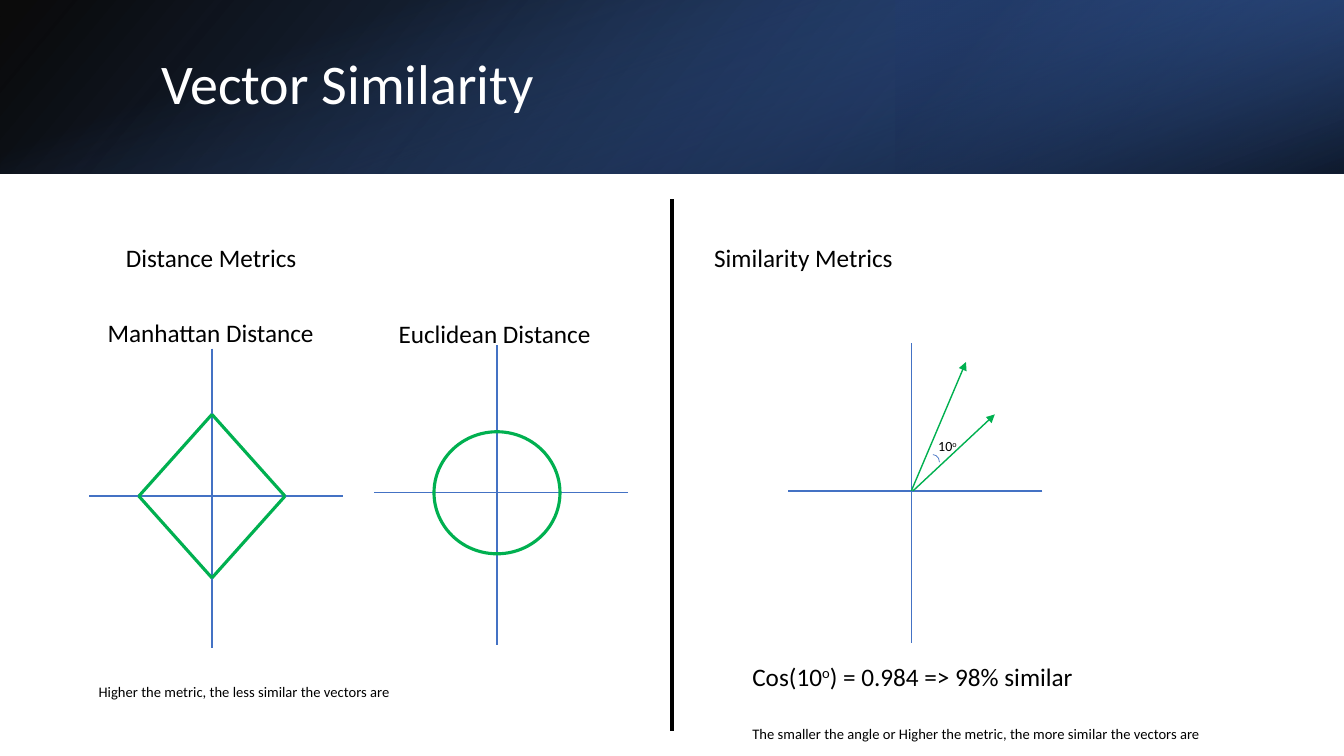
"""Build the Vector Similarity slide."""
from pptx import Presentation
from pptx.dml.color import RGBColor
from pptx.enum.shapes import MSO_CONNECTOR, MSO_SHAPE
from pptx.enum.text import MSO_ANCHOR, PP_ALIGN
from pptx.oxml import parse_xml
from pptx.oxml.ns import nsdecls, qn
from pptx.util import Pt

STRAIGHT = MSO_CONNECTOR.STRAIGHT
RECTANGLE, OVAL, ARC = MSO_SHAPE.RECTANGLE, MSO_SHAPE.OVAL, MSO_SHAPE.ARC
LEFT, MIDDLE = PP_ALIGN.LEFT, MSO_ANCHOR.MIDDLE
FONT = "Calibri"
BLUE, GREEN, BLACK, WHITE = "4472C4", "00B050", "000000", "FFFFFF"

TITLE = "Vector Similarity"
TITLE_BOX = (108, 27.4, 790.6, 69.1)
BANNER_WIDTH, BANNER_HEIGHT = 960, 124
# box, rotation, flipped, (stop %, colour, opacity %), angle
BANNER_PANELS = [
    ((0, 0, BANNER_WIDTH, BANNER_HEIGHT), 0, True,
     [(0, BLACK, 96), (100, "2F5597", 100)], 140),
    ((640, 0, 320, BANNER_HEIGHT), 180, True,
     [(19, "203864", 68), (100, BLUE, 79)], 320),
    (((BANNER_WIDTH - BANNER_HEIGHT) / 2, (BANNER_HEIGHT - BANNER_WIDTH) / 2,
      BANNER_HEIGHT, BANNER_WIDTH), 90, False,
     [(23, BLUE, 0), (99, BLACK, 74)], 340),
]
# box, size, paragraphs of (text, raised)
LABELS = [
    ((82.8, 169.2, 137.5, 29), 18, [[("Distance Metrics", False)]]),
    ((503, 169.2, 143.3, 29), 18, [[("Similarity Metrics", False)]]),
    ((69.8, 223.2, 163.4, 29), 18, [[("Manhattan Distance", False)]]),
    ((277.6, 223.5, 153.4, 29), 18, [[("Euclidean Distance", False)]]),
    ((663.1, 308.9, 28, 19.4), 10, [[("10", False), ("o", True)]]),
    ((530.3, 468.7, 392.4, 65.5), 18, [
        [("Cos(10", False), ("o", True), (") = 0.984 => 98% similar", False)],
        [("The smaller the angle or Higher the metric, the more similar the vectors are", True)],
    ]),
    ((63.4, 482.4, 256.3, 21.6), 18,
     [[("Higher the metric, the less similar the vectors are", True)]]),
]
PARAGRAPH_GAP = 22

MANHATTAN, EUCLIDEAN, COSINE = (151.4, 354.4), (355, 352), (651, 350.6)
AXIS_LEFT, AXIS_RIGHT, AXIS_UP, AXIS_DOWN = 88, 93.6, 105.4, 108.5
DIAMOND_HALF_WIDTH, DIAMOND_HALF_HEIGHT = 52.2, 58.4
CIRCLE_WIDTH, CIRCLE_HEIGHT = 90, 87.2
VECTORS = [((651, 350.6), (690, 258.6)), ((652.2, 350.6), (710.6, 296))]
ANGLE_ARC = (661.7, 324.7, 9.4, 10.8)
DIVIDER = ((480, 142.4), (480, 522))


def color(value):
    return RGBColor.from_string(value)


def place(shape, box):
    shape.left, shape.top, shape.width, shape.height = map(Pt, box)


def add_line(slide, start, end, line_color, width, arrow=False):
    line = slide.shapes.add_connector(STRAIGHT, *map(Pt, (*start, *end)))
    line.line.color.rgb = color(line_color)
    line.line.width = Pt(width)
    if arrow:
        line.line._get_or_add_ln().append(
            parse_xml(f'<a:tailEnd {nsdecls("a")} type="triangle"/>'))
    line._element.spPr.append(parse_xml(f'<a:effectLst {nsdecls("a")}/>'))


def add_outline(slide, kind, box, line_color, width):
    shape = slide.shapes.add_shape(kind, *map(Pt, box))
    shape.shadow.inherit = False
    shape.fill.background()
    shape.line.color.rgb = color(line_color)
    shape.line.width = Pt(width)


def add_panel(slide, box, rotation, flipped, stops, angle):
    panel = slide.shapes.add_shape(RECTANGLE, *map(Pt, box))
    panel.shadow.inherit = False
    panel.line.fill.background()
    panel.fill.background()
    panel.rotation = rotation
    properties = panel._element.spPr
    if flipped:
        properties.find(qn("a:xfrm")).set("flipH", "1")
    stop_xml = "".join(
        f'<a:gs pos="{position * 1000}"><a:srgbClr val="{value}">'
        f'<a:alpha val="{opacity * 1000}"/></a:srgbClr></a:gs>'
        for position, value, opacity in stops)
    gradient = parse_xml(
        f'<a:gradFill {nsdecls("a")} rotWithShape="1"><a:gsLst>{stop_xml}</a:gsLst>'
        f'<a:lin ang="{angle * 60000}" scaled="0"/></a:gradFill>')
    properties.replace(properties.find(qn("a:noFill")), gradient)


def format_run(run, size, font_color):
    run.font.name = FONT
    run.font.size = Pt(size)
    run.font.color.rgb = color(font_color)


def add_label(slide, box, size, paragraphs):
    frame = slide.shapes.add_textbox(*map(Pt, box)).text_frame
    frame.word_wrap = False
    for index, pieces in enumerate(paragraphs):
        paragraph = frame.add_paragraph() if index else frame.paragraphs[0]
        if index:
            paragraph.space_before = Pt(PARAGRAPH_GAP)
        for text, raised in pieces:
            run = paragraph.add_run()
            run.text = text
            format_run(run, size, BLACK)
            if raised:
                run._r.get_or_add_rPr().set("baseline", "30000")


def add_title(slide):
    title = slide.shapes.title
    slide.shapes._spTree.append(title._element)
    place(title, TITLE_BOX)
    title.text_frame.text = TITLE
    title.text_frame.vertical_anchor = MIDDLE
    paragraph = title.text_frame.paragraphs[0]
    paragraph.alignment = LEFT
    paragraph.line_spacing = 0.9
    format_run(paragraph.runs[0], 40, WHITE)


def add_diagrams(slide):
    for x, y in (MANHATTAN, EUCLIDEAN, COSINE):
        add_line(slide, (x, y - AXIS_UP), (x, y + AXIS_DOWN), BLUE, 1)
        add_line(slide, (x + AXIS_RIGHT, y), (x - AXIS_LEFT, y), BLUE, 1)

    x, y = MANHATTAN
    for side in (x - DIAMOND_HALF_WIDTH, x + DIAMOND_HALF_WIDTH):
        for tip in (y - DIAMOND_HALF_HEIGHT, y + DIAMOND_HALF_HEIGHT):
            add_line(slide, (x, tip), (side, y), GREEN, 2.25)

    x, y = EUCLIDEAN
    circle_box = (x - CIRCLE_WIDTH / 2, y - CIRCLE_HEIGHT / 2, CIRCLE_WIDTH, CIRCLE_HEIGHT)
    add_outline(slide, OVAL, circle_box, GREEN, 2.25)

    for start, end in VECTORS:
        add_line(slide, start, end, GREEN, 1, arrow=True)
    add_outline(slide, ARC, ANGLE_ARC, BLUE, 0.5)


def main():
    presentation = Presentation()
    presentation.slide_width, presentation.slide_height = Pt(960), Pt(540)
    slide = presentation.slides.add_slide(presentation.slide_layouts[5])
    for panel in BANNER_PANELS:
        add_panel(slide, *panel)
    add_title(slide)
    add_diagrams(slide)
    for label in LABELS:
        add_label(slide, *label)
    add_line(slide, *DIVIDER, BLACK, 2.25)
    presentation.save("out.pptx")


if __name__ == "__main__":
    main()
